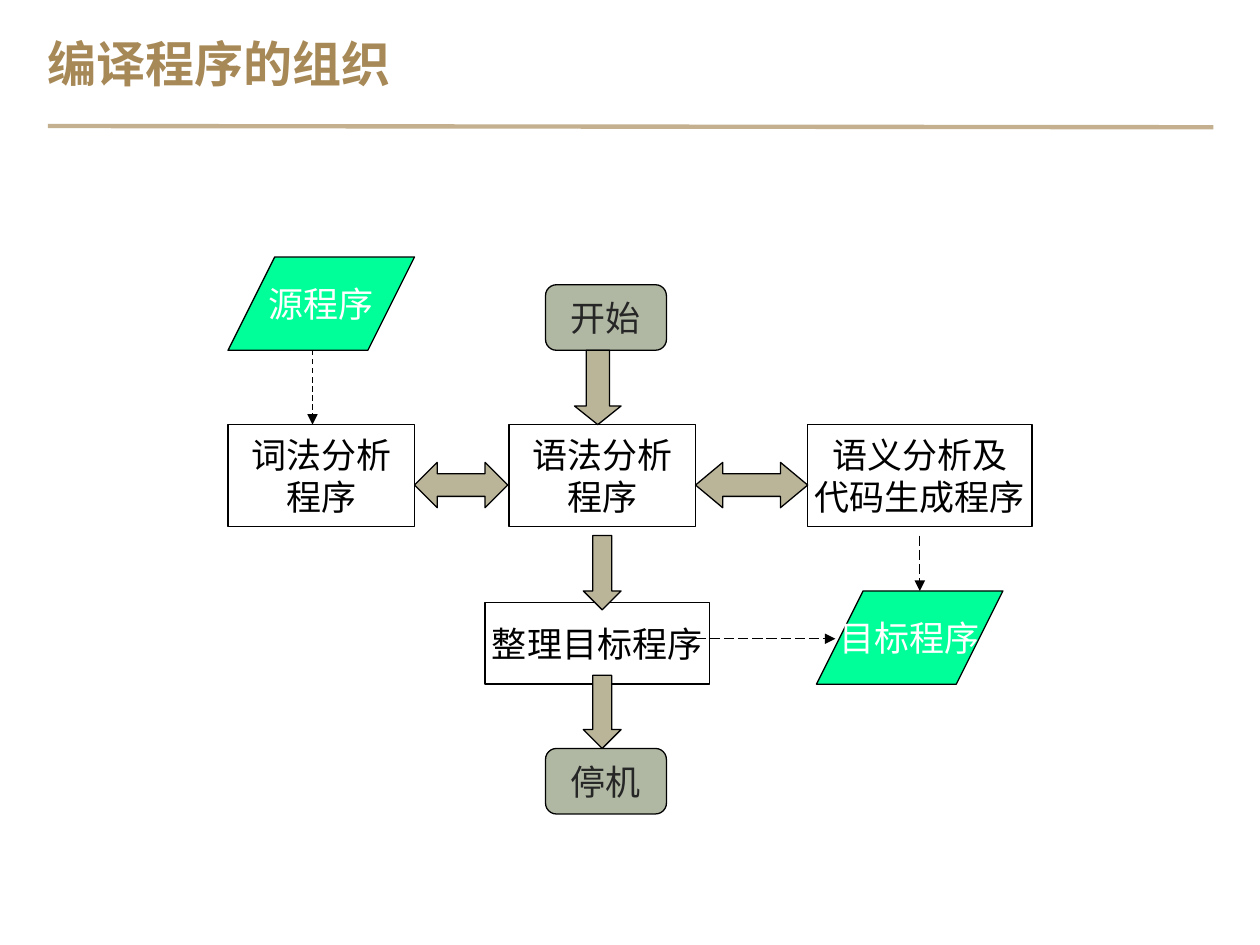
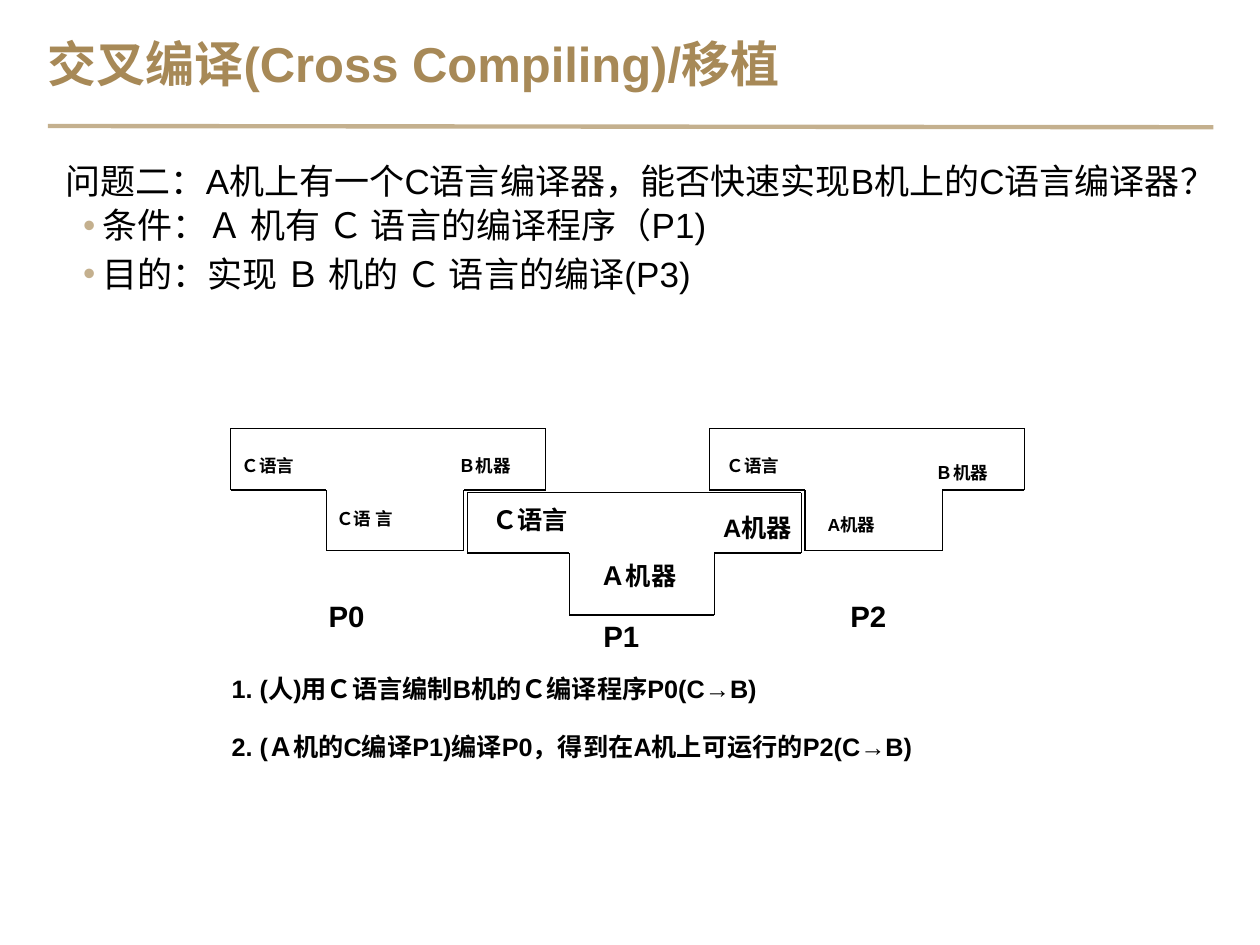
from itertools import pairwise

from pptx import Presentation
from pptx.dml.color import RGBColor
from pptx.enum.dml import MSO_LINE
from pptx.enum.shapes import MSO_CONNECTOR, MSO_SHAPE
from pptx.enum.text import MSO_ANCHOR, MSO_AUTO_SIZE, PP_ALIGN
from pptx.oxml.ns import qn
from pptx.util import Inches, Pt

STRAIGHT = MSO_CONNECTOR.STRAIGHT
DASH, LONG_DASH = MSO_LINE.DASH, MSO_LINE.LONG_DASH
RECTANGLE, ROUNDED = MSO_SHAPE.RECTANGLE, MSO_SHAPE.ROUNDED_RECTANGLE
PARALLELOGRAM = MSO_SHAPE.PARALLELOGRAM
DOWN_ARROW, TWO_WAY_ARROW = MSO_SHAPE.DOWN_ARROW, MSO_SHAPE.LEFT_RIGHT_ARROW
TOP, MIDDLE = MSO_ANCHOR.TOP, MSO_ANCHOR.MIDDLE
LEFT, CENTER, JUSTIFY = PP_ALIGN.LEFT, PP_ALIGN.CENTER, PP_ALIGN.JUSTIFY
NO_AUTOFIT = MSO_AUTO_SIZE.NONE
TITLE_AND_BODY, TITLE_ONLY = 1, 5

FONT = "Arial"
BLACK, WHITE, CHARCOAL = "000000", "FFFFFF", "262626"
GOLD, SAND = "A78957", "C4B08E"
GREEN, SAGE, KHAKI = "00FF99", "B0B8A3", "BAB499"


def rgb(color):
    return RGBColor.from_string(color)


def place(shape, left, top, width, height):
    shape.left, shape.top = Inches(left), Inches(top)
    shape.width, shape.height = Inches(width), Inches(height)


def style_paragraph(para, size, color=BLACK, bold=False, align=LEFT):
    para.alignment = align
    for span in para.runs:
        span.font.name = FONT
        span.font.size = Pt(size)
        span.font.bold = bold
        span.font.color.rgb = rgb(color)


def set_indent(para, margin, hanging):
    properties = para._p.get_or_add_pPr()
    properties.set("marL", str(Inches(margin)))
    properties.set("indent", str(-Inches(hanging)))
    return properties


def set_bullet(para, symbol):
    """Give the paragraph a sand-coloured bullet, or none."""
    properties = para._p.get_or_add_pPr()
    if not symbol:
        properties.append(properties.makeelement(qn("a:buNone"), {}))
        return
    tint = properties.makeelement(qn("a:buClr"), {})
    tint.append(tint.makeelement(qn("a:srgbClr"), {"val": SAND}))
    properties.append(tint)
    properties.append(properties.makeelement(qn("a:buFont"), {"typeface": FONT}))
    properties.append(properties.makeelement(qn("a:buChar"), {"char": symbol}))


def add_line(page, start, end, color=BLACK, width=0.75, dash=None, arrow=False):
    line = page.shapes.add_connector(STRAIGHT, *map(Inches, start + end))
    line.line.color.rgb = rgb(color)
    line.line.width = Pt(width)
    if dash:
        line.line.dash_style = dash
    if arrow:
        outline = line.line._get_or_add_ln()
        outline.append(outline.makeelement(qn("a:tailEnd"), {"type": "triangle"}))
    properties = line._element.spPr
    properties.append(properties.makeelement(qn("a:effectLst"), {}))


def add_page(deck, layout, title):
    """Start a page with the shared title style and rule."""
    page = deck.slides.add_slide(deck.slide_layouts[layout])
    heading = page.shapes.title
    place(heading, 0.38, 0.25, 9.25, 0.5)
    frame = heading.text_frame
    frame.text = title
    frame.auto_size = NO_AUTOFIT
    frame.vertical_anchor = MIDDLE
    frame.margin_left = frame.margin_right = 0
    frame.margin_top = frame.margin_bottom = 0
    style_paragraph(frame.paragraphs[0], 28, GOLD, True)
    add_line(page, (0.38, 1), (9.63, 1.01), SAND, 2.5)
    return page


def add_node(page, kind, position, fill, text="", color=BLACK, adjust=()):
    """Add an outlined flowchart shape with centred text."""
    node = page.shapes.add_shape(kind, *map(Inches, position))
    node.shadow.inherit = False
    node.fill.solid()
    node.fill.fore_color.rgb = rgb(fill)
    node.line.color.rgb = rgb(BLACK)
    node.line.width = Pt(0.75)
    for index, value in enumerate(adjust):
        node.adjustments[index] = value
    if text:
        frame = node.text_frame
        frame.text = text
        frame.word_wrap = False
        frame.vertical_anchor = MIDDLE
        for para in frame.paragraphs:
            style_paragraph(para, 20, color, align=CENTER)


def add_label(page, position, text, size, wrap=False, spacing=1.0):
    box = page.shapes.add_textbox(*map(Inches, position))
    frame = box.text_frame
    frame.text = text
    frame.word_wrap = wrap
    para = frame.paragraphs[0]
    para.line_spacing = spacing
    style_paragraph(para, size, bold=True)
    return para


def add_t_diagram(page, columns, rows):
    """Draw a T outline from its four column and three row positions."""
    left, stem_left, stem_right, right = columns
    top, shoulder, bottom = rows
    corners = [(left, top), (right, top), (right, shoulder),
               (stem_right, shoulder), (stem_right, bottom),
               (stem_left, bottom), (stem_left, shoulder),
               (left, shoulder), (left, top)]
    for start, end in pairwise(corners):
        add_line(page, start, end)


def add_question(page, question, points):
    body = page.placeholders[1]
    place(body, 0.42, 1.25, 9.16, 1.31)
    frame = body.text_frame
    frame.text = "\n".join([question, *points])
    frame.auto_size = NO_AUTOFIT
    frame.vertical_anchor = TOP
    for index, para in enumerate(frame.paragraphs):
        para.level = min(index, 1)
        para.line_spacing = 0.9
        para.space_before = Pt(2 if index else 0)
        para.space_after = Pt(4 if index else 2)
        set_indent(para, *((0.29, 0.15) if index else (0.1, 0.1)))
        set_bullet(para, "•" if index else None)
        style_paragraph(para, 20, align=JUSTIFY if index else LEFT)


def build_organization(deck):
    page = add_page(deck, TITLE_ONLY, "编译程序的组织")

    # Program parts
    for position, text in [
        ((4.04, 3.37, 1.48, 0.81), "语法分析\n程序"),
        ((6.41, 3.37, 1.78, 0.81), "语义分析及\n代码生成程序"),
        ((1.81, 3.37, 1.48, 0.81), "词法分析\n程序"),
        ((3.85, 4.78, 1.78, 0.65), "整理目标程序"),
    ]:
        add_node(page, RECTANGLE, position, WHITE, text)

    # Input and output
    for left, top, text in [(1.81, 2.04, "源程序"), (6.48, 4.69, "目标程序")]:
        add_node(page, PARALLELOGRAM, (left, top, 1.48, 0.74), GREEN, text,
                 WHITE, [0.5])

    # Start and stop
    for top, text in [(5.94, "停机"), (2.26, "开始")]:
        add_node(page, ROUNDED, (4.33, top, 0.96, 0.52), SAGE, text, CHARCOAL)

    # Control flow
    for kind, position, head in [
        (DOWN_ARROW, (4.56, 2.78, 0.37, 0.59), 0.4),
        (DOWN_ARROW, (4.63, 4.25, 0.3, 0.59), 0.5),
        (DOWN_ARROW, (4.63, 5.36, 0.3, 0.58), 0.5),
        (TWO_WAY_ARROW, (3.29, 3.67, 0.74, 0.36), 0.5),
        (TWO_WAY_ARROW, (5.52, 3.67, 0.89, 0.36), 0.6),
    ]:
        add_node(page, kind, position, KHAKI, adjust=[0.5, head])

    # Data flow
    for start, end, dash in [
        ((5.52, 5.07), (6.63, 5.07), LONG_DASH),
        ((7.3, 4.25), (7.3, 4.69), LONG_DASH),
        ((2.48, 2.78), (2.48, 3.37), DASH),
    ]:
        add_line(page, start, end, dash=dash, arrow=True)


def build_cross_compiling(deck):
    page = add_page(deck, TITLE_AND_BODY, "交叉编译(Cross Compiling)/移植")
    add_question(
        page,
        "问题二：A机上有一个C语言编译器，能否快速实现B机上的C语言编译器？",
        ["条件：Ａ 机有 Ｃ 语言的编译程序（P1)",
         "目的：实现 Ｂ 机的 Ｃ 语言的编译(P3)"],
    )

    # T diagrams: the outer two share one outline
    outer_columns, outer_rows = (1.83, 2.59, 3.68, 4.33), (3.4, 3.89, 4.37)
    for shift in (0, 3.8):
        add_t_diagram(page, [x + shift for x in outer_columns], outer_rows)
    add_t_diagram(page, (3.71, 4.52, 5.67, 6.36), (3.91, 4.39, 4.88))

    # Languages and machines
    for left, top, text in [
        (1.82, 3.56, "Ｃ语言"), (2.57, 3.98, "Ｃ语 言"), (3.54, 3.56, "Ｂ机器"),
        (5.67, 3.56, "Ｃ语言"), (6.47, 4.03, "A机器"), (7.33, 3.62, "Ｂ机器"),
    ]:
        add_label(page, (left, top, 0.71, 0.3), text, 10)
    for left, top, text in [
        (3.81, 3.95, "Ｃ语言"), (4.67, 4.4, "Ａ机器"), (5.64, 4.02, "A机器"),
    ]:
        add_label(page, (left, top, 0.83, 0.35), text, 14.4)

    # Program names
    for left, top, text in [
        (2.51, 4.67, "P0"), (4.69, 4.83, "P1"), (6.65, 4.67, "P2"),
    ]:
        add_label(page, (left, top, 0.92, 0.43), text, 16.8, True, 1.1)

    # Steps
    for top, width, height, text in [
        (5.25, 5.55, 0.46, "1. (人)用Ｃ语言编制B机的Ｃ编译程序P0(C→B)"),
        (5.71, 6.31, 0.72,
         "2. (Ａ机的C编译P1)编译P0，得到在A机上可运行的P2(C→B)"),
    ]:
        step = add_label(page, (1.74, top, width, height), text, 14.4, True, 1.2)
        set_indent(step, 0.5, 0.5)


def main():
    deck = Presentation()
    deck.slide_width, deck.slide_height = Inches(10), Inches(7.5)
    build_organization(deck)
    build_cross_compiling(deck)
    deck.save("out.pptx")


if __name__ == "__main__":
    main()
